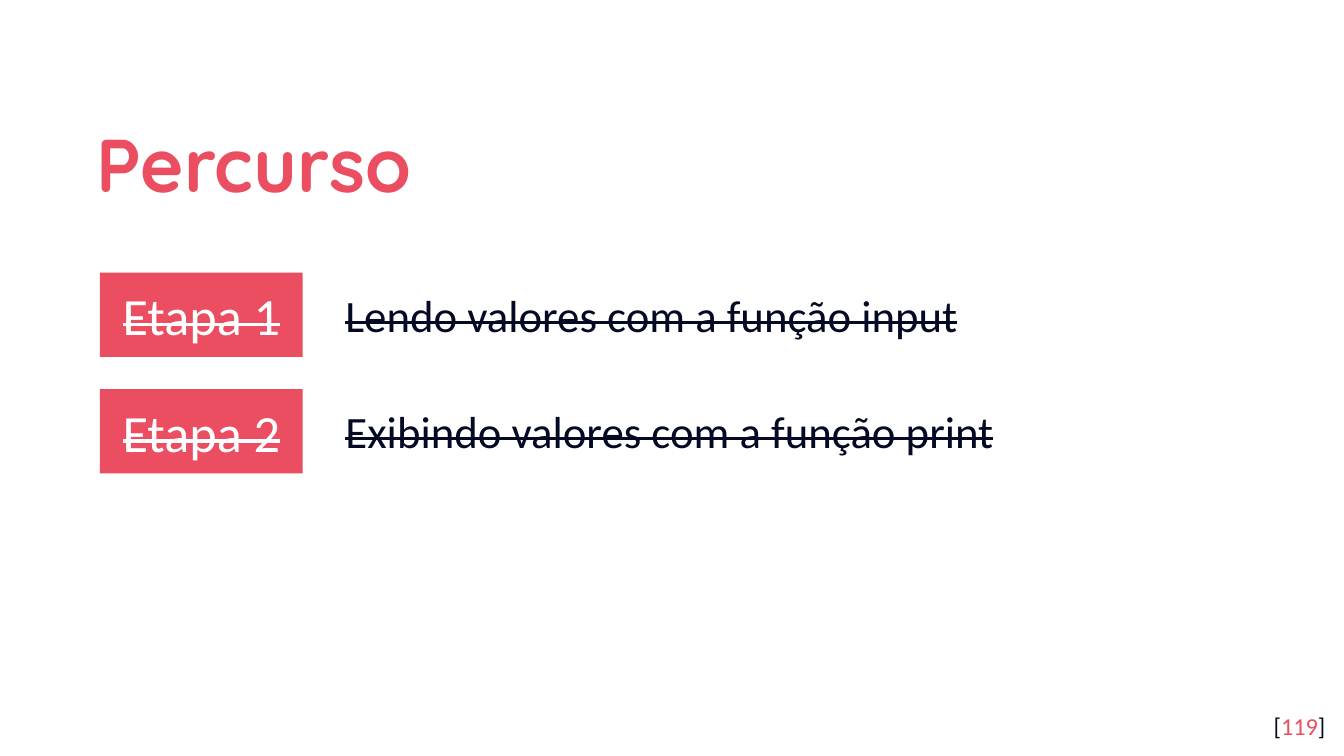
from pptx import Presentation
from pptx.dml.color import RGBColor
from pptx.enum.shapes import MSO_SHAPE
from pptx.enum.text import MSO_ANCHOR, MSO_AUTO_SIZE, PP_ALIGN
from pptx.util import Pt

COLORS = {"accent": "EA4E60", "dark": "040A24", "white": "FFFFFF"}
STEPS = ["Lendo valores com a função input", "Exibindo valores com a função print"]


def format_run(run, size, color, font="Calibri", strike=False):
    run.font.name = font
    run.font.size = Pt(size)
    run.font.color.rgb = RGBColor.from_string(COLORS[color])
    if strike:
        run._r.get_or_add_rPr().set("strike", "sngStrike")


def format_frame(frame, alignment, anchor, vertical_margin=7.2):
    frame.word_wrap = True
    frame.auto_size = MSO_AUTO_SIZE.NONE
    frame.vertical_anchor = anchor
    frame.margin_left = frame.margin_right = Pt(7.2)
    frame.margin_top = frame.margin_bottom = Pt(vertical_margin)
    frame.paragraphs[0].alignment = alignment


presentation = Presentation()
presentation.slide_width = Pt(720)
presentation.slide_height = Pt(405)
slide = presentation.slides.add_slide(presentation.slide_layouts[5])

# Title
title = slide.shapes.title
title.left, title.top, title.width, title.height = Pt(44.6), Pt(50.4), Pt(583.2), Pt(66.2)
title.text_frame.text = "Percurso"
format_frame(title.text_frame, PP_ALIGN.LEFT, MSO_ANCHOR.MIDDLE)
paragraph = title.text_frame.paragraphs[0]
paragraph.line_spacing = 1.15
format_run(paragraph.runs[0], 40, "accent", "Quicksand")
paragraph.runs[0].font.bold = True

# Page number
page_number = slide.shapes.add_textbox(Pt(673.9), Pt(373.7), Pt(43.2), Pt(31))
format_frame(page_number.text_frame, PP_ALIGN.RIGHT, MSO_ANCHOR.TOP)
for text, color in [("[", "dark"), ("119", "accent"), ("]", "dark")]:
    run = page_number.text_frame.paragraphs[0].add_run()
    run.text = text
    format_run(run, 13, color)

# Completed steps
for index, description in enumerate(STEPS):
    top = 146 + index * 62.4

    label = slide.shapes.add_shape(MSO_SHAPE.RECTANGLE, Pt(53.5), Pt(top), Pt(108.7), Pt(45.2))
    label.shadow.inherit = False
    label.fill.solid()
    label.fill.fore_color.rgb = RGBColor.from_string(COLORS["accent"])
    label.line.fill.background()
    label.text_frame.text = f"Etapa {index + 1}"
    format_frame(label.text_frame, PP_ALIGN.CENTER, MSO_ANCHOR.MIDDLE)
    format_run(label.text_frame.paragraphs[0].runs[0], 28, "white", strike=True)

    detail = slide.shapes.add_textbox(Pt(178), Pt(top + 4.4), Pt(486), Pt(36))
    detail.text_frame.text = description
    format_frame(detail.text_frame, PP_ALIGN.LEFT, MSO_ANCHOR.TOP, 3.6)
    format_run(detail.text_frame.paragraphs[0].runs[0], 24, "dark", strike=True)

presentation.save("out.pptx")
